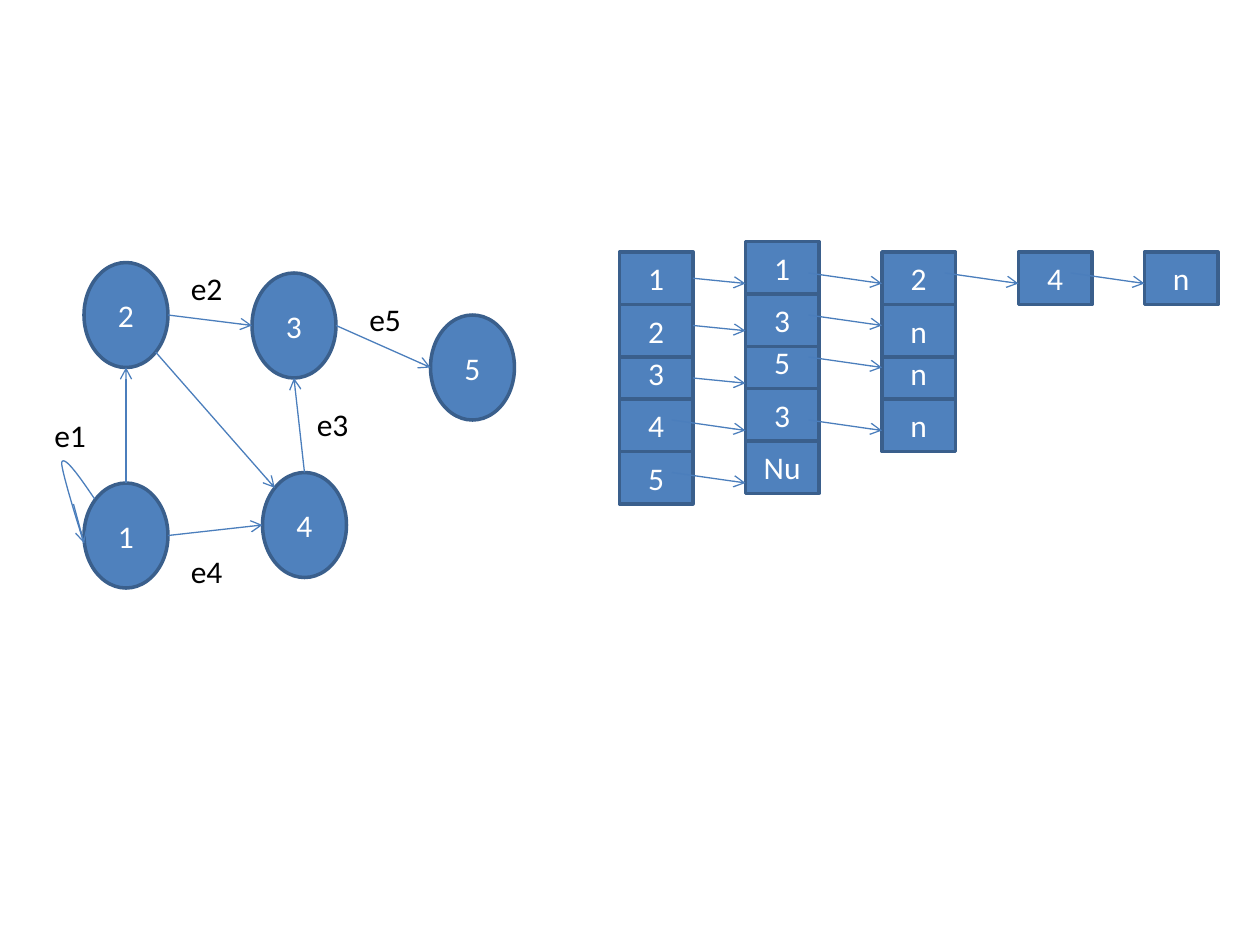
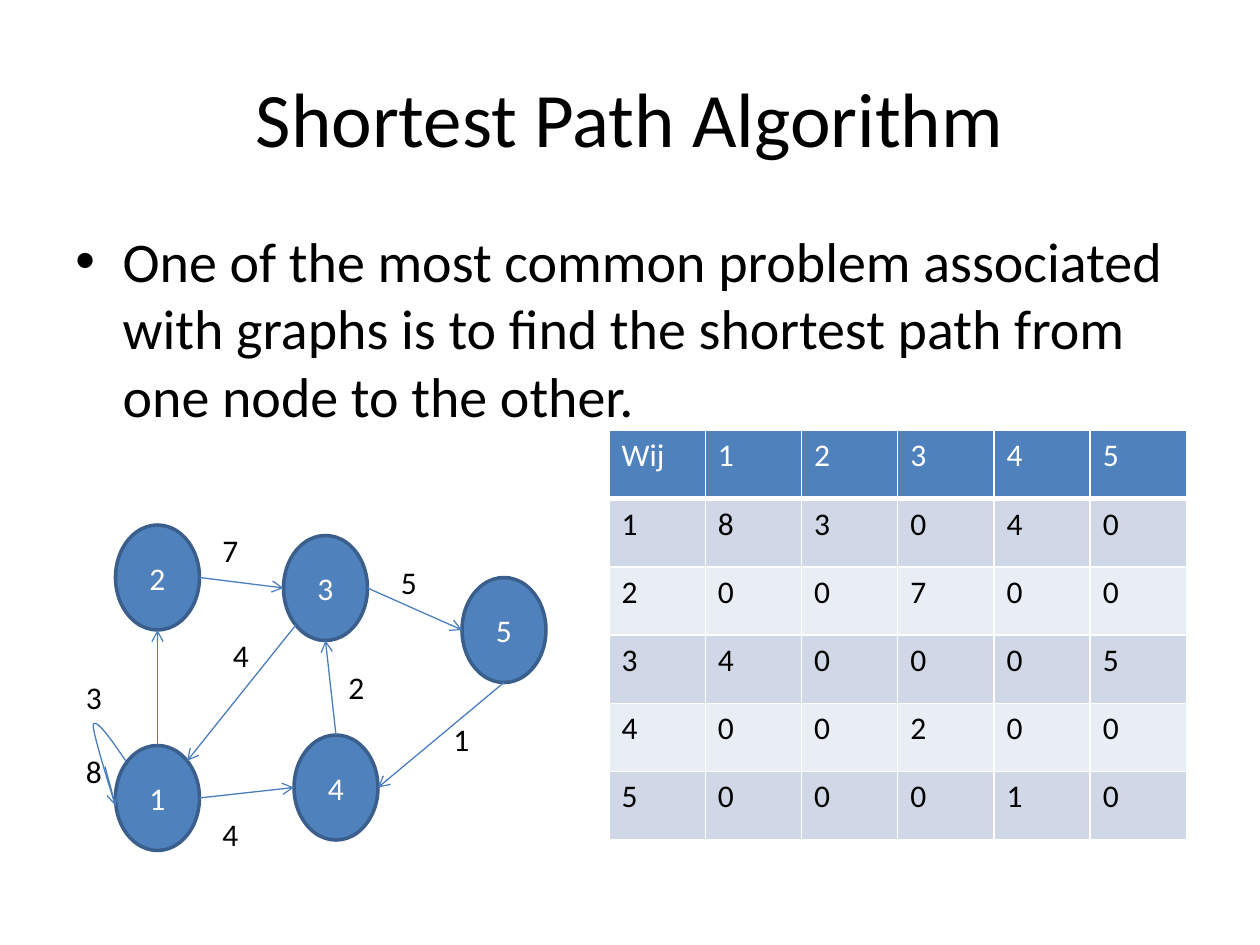
from pptx import Presentation
from pptx.dml.color import RGBColor
from pptx.enum.shapes import MSO_CONNECTOR as Line, MSO_SHAPE as Shape
from pptx.enum.text import MSO_ANCHOR as Anchor, MSO_AUTO_SIZE as AutoSize, PP_ALIGN as Align
from pptx.oxml.ns import qn
from pptx.util import Pt
from lxml.etree import SubElement

FONT = "Calibri"
BLUE, EDGE, ARROW = "4F81BD", "3A5F8C", "4B7EBC"
BLACK, WHITE = "000000", "FFFFFF"
BANDS = ("E9EDF4", "D0D8E8")

NODE_W, NODE_H = 48, 60
NODES = {"2": (24, 0), "5": (222, 30), "4": (126, 120), "3": (120, 6), "1": (24, 126)}
DIAGONAL = 0.5 + 0.125 ** 0.5  # where a 45-degree ray leaves the node's box
SITES = {
    "top": (0.5, 0), "left": (0, 0.5), "bottom": (0.5, 1), "right": (1, 0.5),
    "upper right": (DIAGONAL, 1 - DIAGONAL), "upper left": (1 - DIAGONAL, 1 - DIAGONAL),
    "lower right": (DIAGONAL, DIAGONAL), "lower left": (1 - DIAGONAL, DIAGONAL),
}
COMMON_EDGES = [
    ("1", "top", "2", "bottom"), ("2", "right", "3", "left"), ("1", "right", "4", "left"),
    ("4", "top", "3", "bottom"), ("3", "right", "5", "left"),
]
# Self-loop of node 1 as two Bezier curves
LOOP = [
    ((30, 135), (21.4, 122.2), (12.7, 110), (11.3, 114.2)),
    ((11.3, 114.2), (10.6, 118.3), (24, 160.3), (24, 160.3)),
]

CELL_W, CELL_H = 42, 30
CELL_TOPS = (0, 30, 54, 84, 114)


def color(value):
    return RGBColor.from_string(value)


def write(frame, text, size=18, ink=BLACK, align=Align.LEFT, anchor=Anchor.TOP, bullet=False):
    frame.word_wrap = True
    frame.vertical_anchor = anchor
    para = frame.paragraphs[0]
    para.alignment = align
    if bullet:
        props = para._p.get_or_add_pPr()
        props.set("marL", str(Pt(27)))
        props.set("indent", str(-Pt(27)))
        SubElement(props, qn("a:buFont"), typeface="Arial")
        SubElement(props, qn("a:buChar"), char="•")
    span = para.add_run()
    span.text = text
    span.font.name, span.font.size, span.font.bold = FONT, Pt(size), False
    span.font.color.rgb = color(ink)


def add_text(shapes, text, left, top, width, height, fit=False, **style):
    box = shapes.add_textbox(Pt(left), Pt(top), Pt(width), Pt(height))
    write(box.text_frame, text, **style)
    if fit:
        box.text_frame.auto_size = AutoSize.SHAPE_TO_FIT_TEXT


def add_block(shapes, kind, text, left, top, width, height):
    block = shapes.add_shape(kind, Pt(left), Pt(top), Pt(width), Pt(height))
    block.shadow.inherit = False
    block.fill.solid()
    block.fill.fore_color.rgb = color(BLUE)
    block.line.color.rgb = color(EDGE)
    block.line.width = Pt(2)
    write(block.text_frame, text, ink=WHITE, align=Align.CENTER, anchor=Anchor.MIDDLE)
    return block


def add_arrow(shapes, start, end):
    arrow = shapes.add_connector(Line.STRAIGHT, *map(Pt, (*start, *end)))
    arrow.line.color.rgb = color(ARROW)
    arrow.line.width = Pt(0.75)
    SubElement(arrow.line._get_or_add_ln(), qn("a:tailEnd"), type="arrow")
    SubElement(arrow._element.spPr, qn("a:effectLst"))
    return arrow


def bezier(points, steps=16):
    for step in range(steps + 1):
        t = step / steps
        weights = ((1 - t) ** 3, 3 * t * (1 - t) ** 2, 3 * t * t * (1 - t), t ** 3)
        yield tuple(sum(w * p[axis] for w, p in zip(weights, points)) for axis in (0, 1))


def add_graph(page, left, top, labels, edges):
    shapes = page.shapes.add_group_shape().shapes

    def place(x, y):
        return left + x, top + y

    def site(node, name):
        (x, y), (across, down) = NODES[node], SITES[name]
        return place(x + across * NODE_W, y + down * NODE_H)

    # Nodes and edge labels
    for name, corner in NODES.items():
        add_block(shapes, Shape.OVAL, name, *place(*corner), NODE_W, NODE_H)
    for text, x, y in labels:
        add_text(shapes, text, *place(x, y), 42, 29, fit=True)

    # Edges
    for source, leave, target, enter in COMMON_EDGES + edges:
        add_arrow(shapes, site(source, leave), site(target, enter))

    # Self-loop and its arrowhead
    first, *others = [tuple(map(Pt, place(*point))) for curve in LOOP for point in bezier(curve)]
    builder = shapes.build_freeform(*first)
    builder.add_line_segments(others, close=False)
    loop = builder.convert_to_shape()
    loop.shadow.inherit = False
    loop.fill.background()
    loop.line.color.rgb = color(ARROW)
    loop.line.width = Pt(0.75)
    add_arrow(shapes, place(18, 138), place(24, 160.3))


def add_adjacency_lists(page, left, top):
    # Columns of cells: x, y of the first cell, texts
    columns = [(72, 0, ["1", "3", "5", "3", "Nu"]), (300, 6, "n"), (228, 6, "4"),
               (150, 6, "2nnn"), (0, 6, "12345")]
    for x, y, texts in columns:
        for text, offset in reversed(list(zip(texts, CELL_TOPS))):
            head = add_block(page.shapes, Shape.RECTANGLE, text,
                             left + x, top + y + offset, CELL_W, CELL_H)

    # Arrows between columns: start x, end x, drop, start heights
    links = [(42, 72, 3, (21, 48, 78)), (30, 72, 6, (102, 132)),
             (108, 150, 6, (18, 42, 66, 102)), (186, 228, 6, (18,)), (258, 300, 6, (18,))]
    arrows = [add_arrow(page.shapes, (left + start, top + y), (left + end, top + y + drop))
              for start, end, drop, heights in links for y in heights]
    arrows[0].begin_connect(head, 3)


def add_weight_table(page, left, top, rows, cell_w=55, cell_h=39):
    count = len(rows[0])
    table = page.shapes.add_table(len(rows), count, Pt(left), Pt(top),
                                  Pt(cell_w * count), Pt(cell_h * len(rows))).table
    for r, row in enumerate(rows):
        for c, text in enumerate(row):
            cell = table.cell(r, c)
            # Borders: the rule under the header is heavier
            for side in "LRTB":
                heavy = (r, side) in ((0, "B"), (1, "T"))
                border = SubElement(cell._tc.get_or_add_tcPr(), qn(f"a:ln{side}"),
                                    w=str(Pt(3 if heavy else 1)))
                SubElement(SubElement(border, qn("a:solidFill")), qn("a:srgbClr"), val=WHITE)
            cell.fill.solid()
            cell.fill.fore_color.rgb = color(BANDS[r % 2] if r else BLUE)
            write(cell.text_frame, text, ink=BLACK if r else WHITE)


def build_list_slide(page):
    labels = [("e1", 0, 84), ("e4", 78, 162), ("e3", 150, 78), ("e5", 180, 18), ("e2", 78, 0)]
    add_graph(page, 24, 150, labels, [("2", "lower right", "4", "upper left")])
    add_adjacency_lists(page, 354, 138)


def build_path_slide(page):
    add_text(page.shapes, "Shortest Path Algorithm", 36, 21.6, 648, 90,
             size=44, align=Align.CENTER, anchor=Anchor.MIDDLE)
    add_text(page.shapes, "One of the most common problem associated with graphs is to find "
             "the shortest path from one node to the other.", 36, 126, 648, 356.4,
             size=32, bullet=True)
    labels = [("3", 0, 84), ("4", 78, 162), ("2", 150, 78), ("5", 180, 18), ("7", 78, 0),
              ("1", 210, 108), ("8", 0, 126), ("4", 84, 60)]
    add_graph(page, 42, 300, labels, [("5", "bottom", "4", "right"),
                                      ("3", "lower left", "1", "upper right")])
    weights = ["183040", "200700", "340005", "400200", "500010"]
    add_weight_table(page, 348, 246, [["Wij", *"12345"], *weights])


def main():
    deck = Presentation()
    deck.slide_width, deck.slide_height = Pt(720), Pt(540)
    for build in (build_list_slide, build_path_slide):
        build(deck.slides.add_slide(deck.slide_layouts[6]))
    deck.save("out.pptx")


if __name__ == "__main__":
    main()
